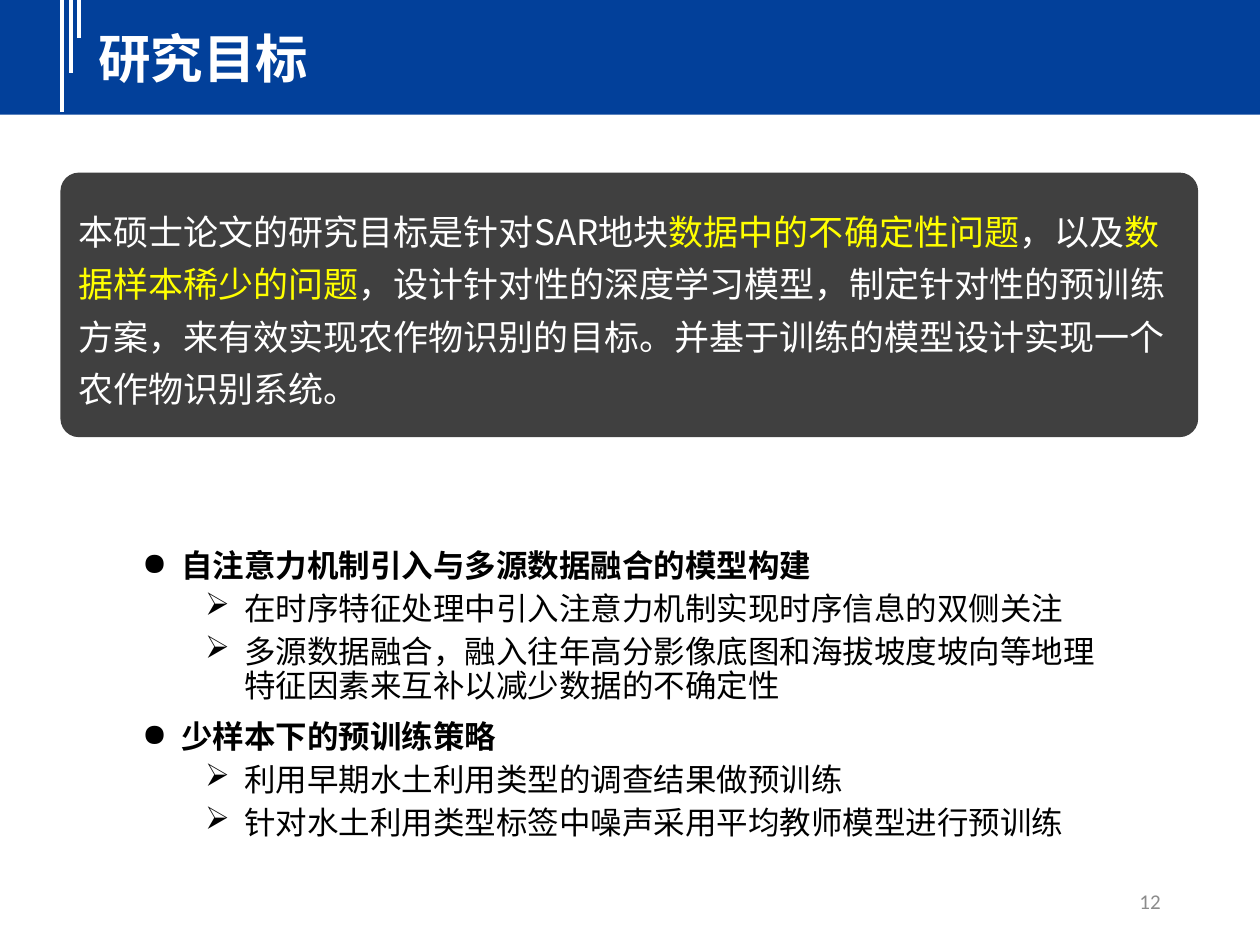
"""Build the research goals slide."""
from dataclasses import dataclass

from lxml import etree
from pptx import Presentation, util as u
from pptx.dml.color import RGBColor
from pptx.enum import shapes, text
from pptx.oxml.ns import qn


@dataclass(frozen=True)
class Theme:
    """Hold the colours, fonts and type sizes."""
    blue: str = "02409A"
    dark: str = "404040"
    white: str = "FFFFFF"
    black: str = "000000"
    yellow: str = "FFFF00"
    grey: str = "8C8C8C"
    font: str = "Noto Sans CJK SC"
    plain: str = "Calibri"
    head: int = 30
    lead: int = 20
    body: int = 18
    foot: int = 12


T = Theme()
WIDE, HIGH = u.Inches(10), u.Inches(7.5)
COLS, ROWS = 100, 75

GOAL = [
    ("本硕士论文的研究目标是针对SAR地块", T.white),
    ("数据中的不确定性问题", T.yellow),
    ("，以及", T.white),
    ("数据样本稀少的问题", T.yellow),
    ("，设计针对性的深度学习模型，制定针对性的预训练方案，来有效实现农作物识别的目标。"
     "并基于训练的模型设计实现一个农作物识别系统。", T.white),
]
PLANS = {
    "自注意力机制引入与多源数据融合的模型构建": [
        "在时序特征处理中引入注意力机制实现时序信息的双侧关注",
        "多源数据融合，融入往年高分影像底图和海拔坡度坡向等地理特征因素来互补以减少数据的不确定性",
    ],
    "少样本下的预训练策略": [
        "利用早期水土利用类型的调查结果做预训练",
        "针对水土利用类型标签中噪声采用平均教师模型进行预训练",
    ],
}


def grid(x, y, w, h):
    """Turn columns and rows into slide lengths."""
    cell = (WIDE / COLS, HIGH / ROWS)
    return [round(n * cell[i % 2]) for i, n in enumerate((x, y, w, h))]


def write(para, words, size=T.body, color=T.black, font=T.font, bold=False,
          align=text.PP_ALIGN.LEFT, line=None, before=None):
    """Add one run of formatted text to a paragraph."""
    para.alignment = align
    if line:
        para.line_spacing = line
    if before:
        para.space_before = u.Pt(before)
    run = para.add_run()
    run.text = words
    run.font.name, run.font.size, run.font.bold = font, u.Pt(size), bold
    run.font.color.rgb = RGBColor.from_string(color)
    east = etree.SubElement(run.font._element, qn("a:ea"))
    east.set("typeface", font)


def mark(para, sign, level, left):
    """Give a paragraph a hanging bullet."""
    para.level = level
    props = para._p.get_or_add_pPr()
    props.set("marL", str(u.Inches(left)))
    props.set("indent", str(-u.Inches(0.31)))
    etree.SubElement(props, qn("a:buChar")).set("char", sign)


def block(slide, kind, area, fill):
    """Draw a plain filled shape."""
    shape = slide.shapes.add_shape(kind, *grid(*area))
    shape.shadow.inherit = False
    shape.fill.solid()
    shape.fill.fore_color.rgb = RGBColor.from_string(fill)
    shape.line.fill.background()
    return shape


def label(slide, area, anchor=text.MSO_ANCHOR.TOP):
    """Add a wrapping text box and return its frame."""
    frame = slide.shapes.add_textbox(*grid(*area)).text_frame
    frame.word_wrap = True
    frame.vertical_anchor = anchor
    return frame


def stripe(slide, x, end):
    """Draw one upright line in the header."""
    line = slide.shapes.add_connector(
        shapes.MSO_CONNECTOR.STRAIGHT, *grid(x, -0.3, x, end))
    line.line.color.rgb = RGBColor.from_string(T.white)
    line.line.width = u.Pt(2.25)
    etree.SubElement(line._element.spPr, qn("a:effectLst"))


def header(slide):
    """Draw the band, its stripes and the title."""
    block(slide, shapes.MSO_SHAPE.RECTANGLE, (0, -0.3, 100, 9.4), T.blue)
    for i, end in enumerate((8.9, 5.8, 3)):
        stripe(slide, 4.9 + 0.7 * i, end)
    title = slide.shapes.title
    title.left, title.top, title.width, title.height = grid(6.8, 1.6, 91.2, 6.1)
    frame = title.text_frame
    frame.auto_size = text.MSO_AUTO_SIZE.NONE
    frame.vertical_anchor = text.MSO_ANCHOR.TOP
    write(frame.paragraphs[0], "研究目标", size=T.head, color=T.white, bold=True)
    slide.shapes._spTree.append(title._element)


def goal(slide):
    """Draw the rounded panel with the main goal."""
    panel = block(slide, shapes.MSO_SHAPE.ROUNDED_RECTANGLE,
                  (4.8, 13.7, 90.3, 21), T.dark)
    panel.adjustments[0] = 0.07
    frame = panel.text_frame
    frame.word_wrap = True
    frame.vertical_anchor = text.MSO_ANCHOR.MIDDLE
    for words, color in GOAL:
        write(frame.paragraphs[0], words, size=T.lead, color=color, line=1.25)


def plans(slide):
    """List each plan with its steps."""
    frame = label(slide, (10.3, 43.2, 78.5, 24.2))
    para = frame.paragraphs[0]
    for i, (plan, steps) in enumerate(PLANS.items()):
        if i:
            para = frame.add_paragraph()
        mark(para, "●", 0, 0.31)
        write(para, plan, bold=True, line=0.9, before=10 if i else None)
        for step in steps:
            para = frame.add_paragraph()
            mark(para, "➢", 1, 0.81)
            write(para, step, line=0.9, before=5)


def main():
    """Build and save the slide."""
    deck = Presentation()
    deck.slide_width, deck.slide_height = WIDE, HIGH
    slide = deck.slides.add_slide(deck.slide_layouts[5])
    header(slide)
    page = label(slide, (70.6, 69.5, 22.5, 4), text.MSO_ANCHOR.MIDDLE)
    write(page.paragraphs[0], "12", size=T.foot, color=T.grey, font=T.plain,
          align=text.PP_ALIGN.RIGHT)
    plans(slide)
    goal(slide)
    deck.save("out.pptx")


if __name__ == "__main__":
    main()
